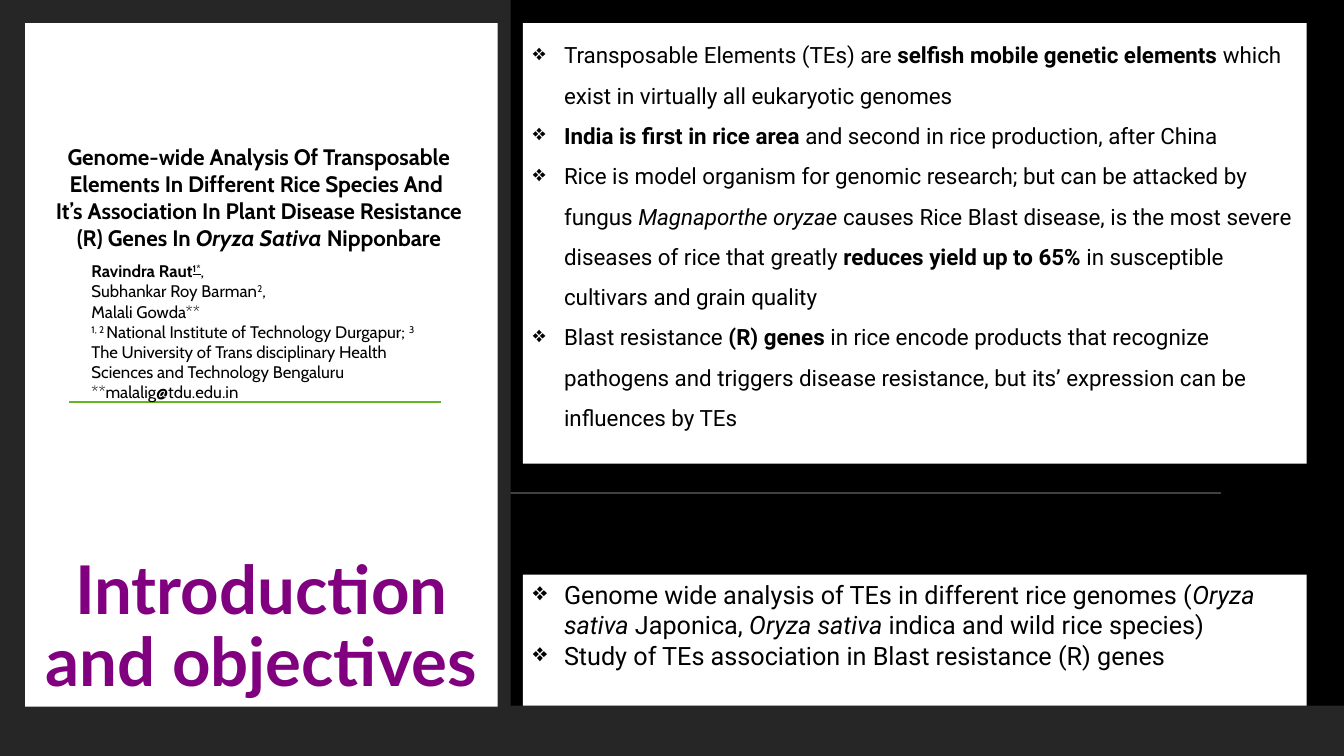
from dataclasses import dataclass

from lxml import etree
from pptx import Presentation
from pptx.dml.color import RGBColor
from pptx.enum.shapes import MSO_CONNECTOR, MSO_SHAPE
from pptx.enum.text import MSO_ANCHOR, MSO_AUTO_SIZE, PP_ALIGN
from pptx.oxml.ns import qn
from pptx.util import Inches, Pt

RECT, LINE = MSO_SHAPE.RECTANGLE, MSO_CONNECTOR.STRAIGHT
TOP, BOTTOM = MSO_ANCHOR.TOP, MSO_ANCHOR.BOTTOM
LEFT, CENTER = PP_ALIGN.LEFT, PP_ALIGN.CENTER
FIXED = MSO_AUTO_SIZE.NONE


@dataclass(frozen=True)
class Theme:
    black: str = "000000"
    white: str = "FFFFFF"
    dark: str = "262626"
    gray: str = "404040"
    green: str = "66B420"
    purple: str = "800080"
    head: int = 48
    goal: int = 18
    body: int = 16
    small: int = 12


THEME = Theme()
BOLD, ITALIC, RAISED = {"bold": True}, {"italic": True}, {"raised": True}

TITLE = [[("Introduction and objectives", BOLD)]]
PAPER = [
    [("Genome-wide Analysis Of Transposable Elements In Different Rice Species And ", BOLD)],
    [("It’s Association In Plant Disease Resistance (R) Genes In ", BOLD),
     ("Oryza Sativa ", BOLD | ITALIC), ("Nipponbare", BOLD)],
]
AUTHORS = [
    [("Ravindra Raut", BOLD), ("1*", BOLD | RAISED | {"underline": True}), ","],
    ["Subhankar Roy Barman", ("2", RAISED), ","],
    ["Malali Gowda**"],
    [("1, 2 ", RAISED), "National Institute of Technology Durgapur; ", ("3", RAISED),
     " The University of Trans disciplinary Health Sciences and Technology Bengaluru"],
    ["**malalig@tdu.edu.in"],
]
INTRO = [
    ["Transposable Elements (TEs) are ", ("selfish mobile genetic elements ", BOLD),
     "which exist in virtually all eukaryotic genomes"],
    [("India is first in rice area ", BOLD), "and second in rice production, after China"],
    ["Rice is model organism for genomic research; but can be attacked by fungus ",
     ("Magnaporthe oryzae ", ITALIC),
     "causes Rice Blast disease, is the most severe diseases of rice that greatly ",
     ("reduces yield up to 65% ", BOLD), "in susceptible cultivars and grain quality"],
    ["Blast resistance ", ("(R) genes ", BOLD),
     "in rice encode products that recognize pathogens and triggers disease resistance, "
     "but its’ expression can be influences by TEs"],
]
GOALS = [
    ["Genome wide analysis of TEs in different rice genomes (", ("Oryza sativa ", ITALIC),
     "Japonica, ", ("Oryza sativa ", ITALIC), "indica and wild rice species)"],
    ["Study of TEs association in Blast resistance (R) genes"],
]


def color(code):
    return RGBColor.from_string(code)


def paint(shape, code):
    shape.fill.solid()
    shape.fill.fore_color.rgb = color(code)
    shape.line.fill.background()


def panel(slide, box, code):
    shape = slide.shapes.add_shape(RECT, *map(Inches, box))
    shape.shadow.inherit = False
    paint(shape, code)
    return shape


def rule(slide, start, end, y, code, width):
    line = slide.shapes.add_connector(LINE, *map(Inches, (start, y, end, y)))
    line.line.color.rgb = color(code)
    line.line.width = Pt(width)
    etree.SubElement(line.element.spPr, qn("a:effectLst"))


def bullet(para):
    props = para._p.get_or_add_pPr()
    props.set("marL", str(Inches(0.31)))
    props.set("indent", str(-Inches(0.31)))
    tint = etree.SubElement(props, qn("a:buClr"))
    etree.SubElement(tint, qn("a:srgbClr"), val=THEME.black)
    etree.SubElement(props, qn("a:buChar"), char="❖")


def write(shape, paras, face, size, code=THEME.black, align=LEFT, space=1.0,
          anchor=TOP, marked=False):
    frame = shape.text_frame
    form = {"word_wrap": True, "auto_size": FIXED, "vertical_anchor": anchor,
            "margin_left": Inches(0.1), "margin_right": Inches(0.1),
            "margin_top": Inches(0.05), "margin_bottom": Inches(0.05)}
    for name, value in form.items():
        setattr(frame, name, value)
    for index, parts in enumerate(paras):
        para = frame.paragraphs[0] if index == 0 else frame.add_paragraph()
        if marked:
            bullet(para)
        para.alignment, para.line_spacing = align, space
        for part in parts:
            text, style = (part, {}) if isinstance(part, str) else part
            run = para.add_run()
            run.text = text
            run.font.color.rgb = color(code)
            look = {"name": face, "size": Pt(size), "bold": False} | style
            if look.pop("raised", False):
                run._r.get_or_add_rPr().set("baseline", "30000")
            for name, value in look.items():
                setattr(run.font, name, value)


def main():
    deck = Presentation()
    deck.slide_width, deck.slide_height = Inches(13.34), Inches(7.5)
    slide = deck.slides.add_slide(deck.slide_layouts[5])
    slide.background.fill.solid()
    slide.background.fill.fore_color.rgb = color(THEME.black)

    panel(slide, (0, 7, 13.34, 0.5), THEME.dark)
    rule(slide, 1.32, 12.12, 4.89, THEME.gray, 1)
    panel(slide, (0, 0, 5.07, 7.5), THEME.dark)

    title = slide.shapes.title
    title.element.getparent().append(title.element)
    spot = dict(zip(("left", "top", "width", "height"), (0.25, 0.23, 4.69, 6.78)))
    for name, value in spot.items():
        setattr(title, name, Inches(value))
    paint(title, THEME.white)
    write(title, TITLE, "Lato", THEME.head, THEME.purple, CENTER, 0.9, BOTTOM)
    rule(slide, 0.68, 4.38, 3.99, THEME.green, 1.5)

    for paras, top, height, size, space in (
        (INTRO, 0.23, 4.37, THEME.body, 1.5),
        (GOALS, 5.7, 1.3, THEME.goal, 1.0),
    ):
        card = panel(slide, (5.19, top, 7.78, height), THEME.white)
        write(card, paras, "Roboto", size, space=space, marked=True)

    for paras, box, size, align in (
        (PAPER, (0.31, 1.37, 4.52, 1.97), THEME.body, CENTER),
        (AUTHORS, (0.81, 2.54, 3.57, 1.7), THEME.small, LEFT),
    ):
        note = slide.shapes.add_textbox(*map(Inches, box))
        write(note, paras, "Cabin", size, align=align)

    deck.save("out.pptx")


if __name__ == "__main__":
    main()
